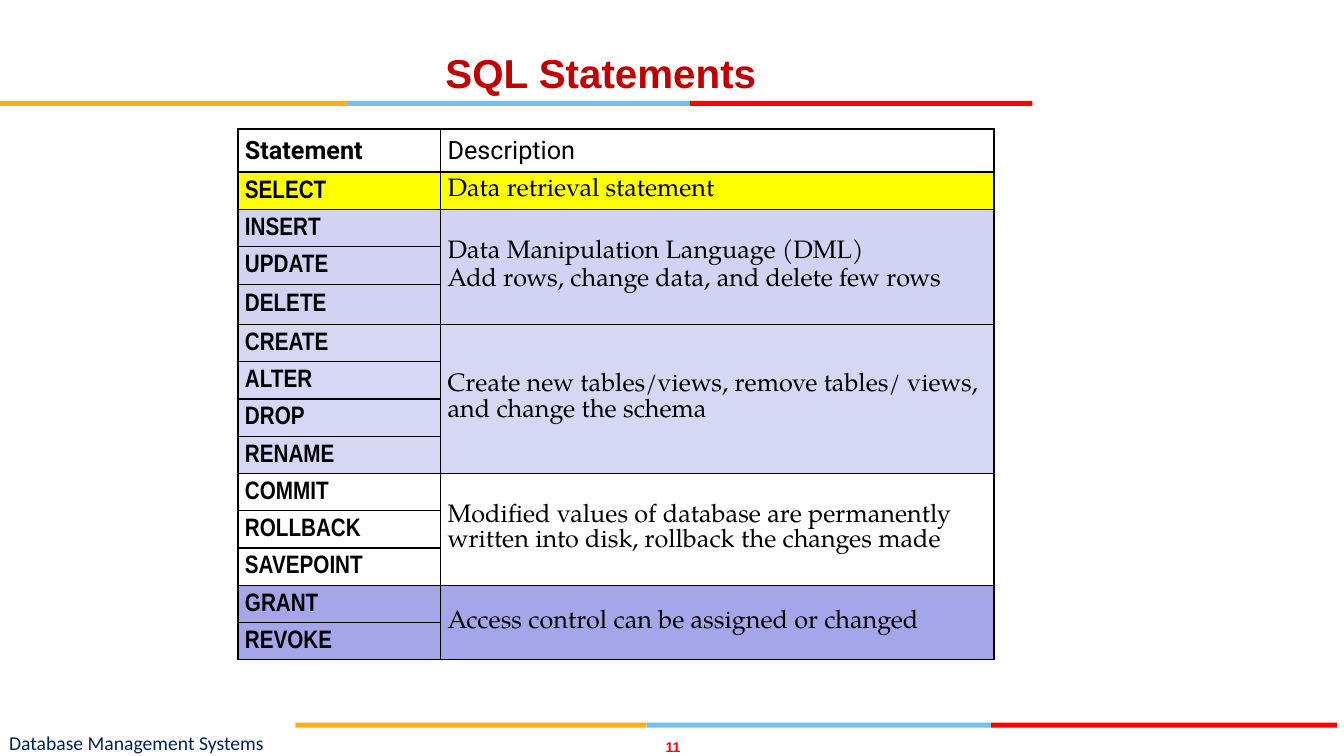
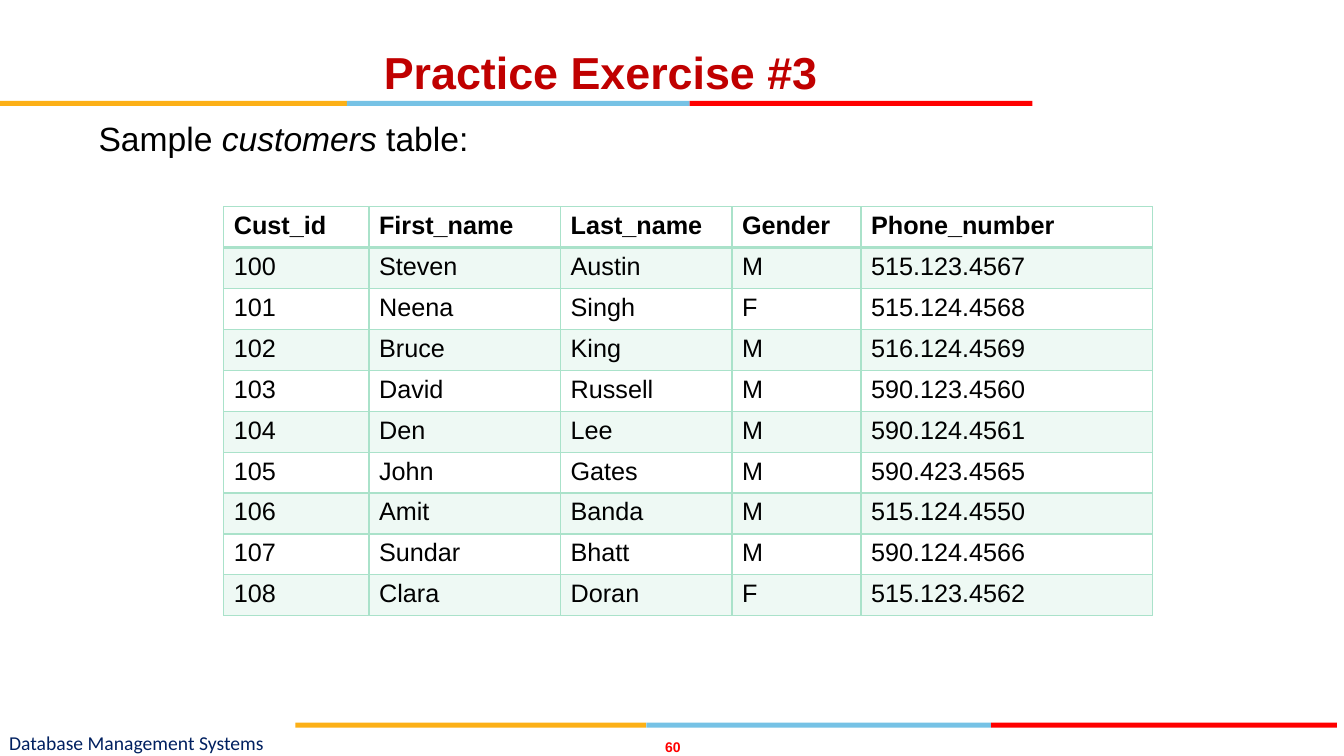
from dataclasses import dataclass
from itertools import accumulate
from typing import NamedTuple, Optional

from lxml.etree import SubElement
from pptx import Presentation
from pptx.dml.color import RGBColor
from pptx.enum.shapes import MSO_SHAPE
from pptx.enum.text import MSO_ANCHOR, PP_ALIGN
from pptx.oxml.ns import qn
from pptx.slide import Slide
from pptx.table import Table, _Cell
from pptx.text.text import TextFrame, _Paragraph
from pptx.util import Inches, Pt

GOLD = RGBColor(0xFC, 0xB0, 0x17)
SKY = RGBColor(0x76, 0xC2, 0xE5)
RED = RGBColor(0xFF, 0x00, 0x00)
CRIMSON = RGBColor(0xC0, 0x00, 0x00)
NAVY = RGBColor(0x00, 0x20, 0x60)
BLACK = RGBColor(0x00, 0x00, 0x00)
WHITE = RGBColor(0xFF, 0xFF, 0xFF)
YELLOW = RGBColor(0xFF, 0xFF, 0x00)
LAVENDER = RGBColor(0xD2, 0xD2, 0xF4)
PALE_LAVENDER = RGBColor(0xD6, 0xD6, 0xF5)
VIOLET = RGBColor(0xA5, 0xA5, 0xE9)
MINT = RGBColor(0xAA, 0xE2, 0xCA)

BAND_COLOURS = (GOLD, SKY, RED)
BAND_HEIGHT = 0.05


class Font(NamedTuple):
    name: str
    size: float
    colour: RGBColor = BLACK
    bold: bool = False
    italic: bool = False


class Box(NamedTuple):
    left: float
    top: float
    width: float
    height: float


class Band(NamedTuple):
    """A three-coloured rule, its segments laid end to end."""
    left: float
    top: float
    widths: tuple[float, ...]


@dataclass(frozen=True)
class StatementGroup:
    """Statements that share one fill and one description."""
    statements: tuple[str, ...]
    description: tuple[str, ...]
    fill: RGBColor


BANDS = (Band(0, 1, (3.44, 3.4, 3.4)), Band(2.93, 7.17, (3.48, 3.42, 3.43)))
TITLE_BOX = Box(0.21, 0.41, 11.5, 0.61)
NUMBER_BOX = Box(6.51, 7.33, 0.33, 0.17)
FOOTER_BOX = Box(0.09, 7.23, 4.96, 0.27)

GROUPS = (
    StatementGroup(("SELECT",), ("Data retrieval statement",), YELLOW),
    StatementGroup(
        ("INSERT", "UPDATE", "DELETE"),
        ("Data Manipulation Language (DML)",
         "Add rows, change data, and delete few rows"), LAVENDER),
    StatementGroup(
        ("CREATE", "ALTER", "DROP", "RENAME"),
        ("Create new tables/views, remove tables/ views, and change the schema",),
        PALE_LAVENDER),
    StatementGroup(
        ("COMMIT", "ROLLBACK", "SAVEPOINT"),
        ("Modified values of database are permanently written into disk, "
         "rollback the changes made",), WHITE),
    StatementGroup(
        ("GRANT", "REVOKE"),
        ("Access control can be assigned or changed",), VIOLET),
)

CUSTOMERS = (
    ("Cust_id", "First_name", "Last_name", "Gender", "Phone_number"),
    ("100", "Steven", "Austin", "M", "515.123.4567"),
    ("101", "Neena", "Singh", "F", "515.124.4568"),
    ("102", "Bruce", "King", "M", "516.124.4569"),
    ("103", "David", "Russell", "M", "590.123.4560"),
    ("104", "Den", "Lee", "M", "590.124.4561"),
    ("105", "John", "Gates", "M", "590.423.4565"),
    ("106", "Amit", "Banda", "M", "515.124.4550"),
    ("107", "Sundar", "Bhatt", "M", "590.124.4566"),
    ("108", "Clara", "Doran", "F", "515.123.4562"),
)


def add_run(p: _Paragraph, text: str, font: Font) -> None:
    r = p.add_run()
    r.text = text
    r.font.name = font.name
    r.font.size = Pt(font.size)
    r.font.bold = font.bold
    r.font.italic = font.italic
    r.font.color.rgb = font.colour


def add_text(s: Slide, box: Box, margin: float = 0) -> TextFrame:
    tf = s.shapes.add_textbox(*map(Inches, box)).text_frame
    tf.word_wrap = True
    tf.margin_left = tf.margin_right = Inches(margin)
    tf.margin_top = tf.margin_bottom = Inches(margin / 2)
    return tf


def add_band(s: Slide, band: Band) -> None:
    lefts = accumulate(band.widths, initial=band.left)
    for left, width, colour in zip(lefts, band.widths, BAND_COLOURS):
        box = Box(left, band.top, width, BAND_HEIGHT)
        sp = s.shapes.add_shape(MSO_SHAPE.RECTANGLE, *map(Inches, box))
        sp.shadow.inherit = False
        sp.fill.solid()
        sp.fill.fore_color.rgb = colour
        sp.line.fill.background()


def add_slide(prs: Presentation, title: str, title_size: float, number: int) -> Slide:
    """Add a slide with its title, bands, footer and slide number."""
    s = prs.slides.add_slide(prs.slide_layouts[5])
    for band in BANDS:
        add_band(s, band)

    sp = s.shapes.title
    sp.left, sp.top, sp.width, sp.height = map(Inches, TITLE_BOX)
    tf = sp.text_frame
    tf.vertical_anchor = MSO_ANCHOR.MIDDLE
    p = tf.paragraphs[0]
    p.alignment = PP_ALIGN.CENTER
    add_run(p, title, Font("Arial", title_size, CRIMSON, bold=True))

    for box, text, font, alignment in (
        (NUMBER_BOX, str(number), Font("Arial", 10, RED, bold=True), PP_ALIGN.CENTER),
        (FOOTER_BOX, "Database Management Systems", Font("Calibri", 14, NAVY), PP_ALIGN.LEFT),
    ):
        tf = add_text(s, box)
        tf.vertical_anchor = MSO_ANCHOR.MIDDLE
        p = tf.paragraphs[0]
        p.alignment = alignment
        add_run(p, text, font)
    return s


def add_table(s: Slide, left: float, top: float, widths: tuple[float, ...],
              heights: list[float]) -> Table:
    box = Box(left, top, sum(widths), sum(heights))
    table = s.shapes.add_table(len(heights), len(widths), *map(Inches, box)).table
    table.first_row = table.horz_banding = False
    for column, width in zip(table.columns, widths):
        column.width = Inches(width)
    for row, height in zip(table.rows, heights):
        row.height = Inches(height)
    return table


def style_cell(cell: _Cell, border: RGBColor, fill: Optional[RGBColor],
               top: float = 1, bottom: float = 1, opacity: int = 100) -> None:
    """Set borders (widths in points) and fill (opacity in percent)."""
    tc_pr = cell._tc.get_or_add_tcPr()
    for side, width in (("L", 1), ("R", 1), ("T", top), ("B", bottom)):
        ln = SubElement(tc_pr, qn(f"a:ln{side}"), w=str(Pt(width)))
        SubElement(SubElement(ln, qn("a:solidFill")), qn("a:srgbClr"), val=str(border))
    if fill is None:
        cell.fill.background()
        return
    cell.fill.solid()
    cell.fill.fore_color.rgb = fill
    if opacity < 100:
        colour = tc_pr.find(qn("a:solidFill")).find(qn("a:srgbClr"))
        SubElement(colour, qn("a:alpha"), val=str(opacity * 1000))


def write_statement_cell(cell: _Cell, lines: tuple[str, ...], font: Font,
                         spacing: Optional[Pt] = Pt(18)) -> None:
    cell.vertical_anchor = MSO_ANCHOR.MIDDLE
    cell.margin_left = cell.margin_right = Inches(0.07)
    cell.margin_top = cell.margin_bottom = 0
    tf = cell.text_frame
    for i, line in enumerate(lines):
        p = tf.add_paragraph() if i else tf.paragraphs[0]
        p.space_before = p.space_after = Pt(1)
        p.line_spacing = spacing
        add_run(p, line, font)


def build_statements(prs: Presentation) -> None:
    s = add_slide(prs, "SQL Statements", 28.8, 11)
    names = [name for group in GROUPS for name in group.statements]
    heights = [0.43] + [0.4 if name == "DELETE" else 0.37 for name in names]
    table = add_table(s, 2.36, 1.28, (2.01, 5.49), heights)

    for column, (text, bold) in enumerate((("Statement", True), ("Description", False))):
        cell = table.cell(0, column)
        style_cell(cell, BLACK, WHITE, bottom=1.5)
        write_statement_cell(cell, (text,), Font("Roboto", 18, bold=bold), None)

    first = 1
    for group in GROUPS:
        for row, name in enumerate(group.statements, first):
            for column in range(2):
                style_cell(table.cell(row, column), BLACK, group.fill,
                           top=1.5 if row == 1 else 1)
            write_statement_cell(table.cell(row, 0), (name,),
                                 Font("Arial Narrow", 18, bold=True))
        last = first + len(group.statements) - 1
        description = table.cell(first, 1)
        if last > first:
            description.merge(table.cell(last, 1))
        write_statement_cell(description, group.description, Font("TeX Gyre Pagella", 18))
        first = last + 1


def build_customers(prs: Presentation) -> None:
    s = add_slide(prs, "Practice Exercise #3", 32, 60)
    p = add_text(s, Box(0.67, 1.12, 12, 0.5), margin=0.1).paragraphs[0]
    p.space_before = Pt(2)
    p._p.get_or_add_pPr().set("indent", str(Inches(0.21)))
    for text, italic in (("Sample ", False), ("customers", True), ("\u00a0table:".replace("\u00a0", " "), False)):
        add_run(p, text, Font("Arial", 24, italic=italic))

    table = add_table(s, 2.22, 2.05, (1.44, 1.9, 1.7, 1.28, 2.89),
                      [0.406] * len(CUSTOMERS))
    for row, values in enumerate(CUSTOMERS):
        for column, value in enumerate(values):
            cell = table.cell(row, column)
            style_cell(cell, MINT, MINT if row % 2 else None,
                       top=2 if row == 1 else 1, bottom=2 if row == 0 else 1, opacity=20)
            add_run(cell.text_frame.paragraphs[0], value,
                    Font("Arial", 18, bold=row == 0))


def main() -> None:
    prs = Presentation()
    prs.slide_width, prs.slide_height = Inches(13.33), Inches(7.5)
    build_statements(prs)
    build_customers(prs)
    prs.save("out.pptx")


if __name__ == "__main__":
    main()
